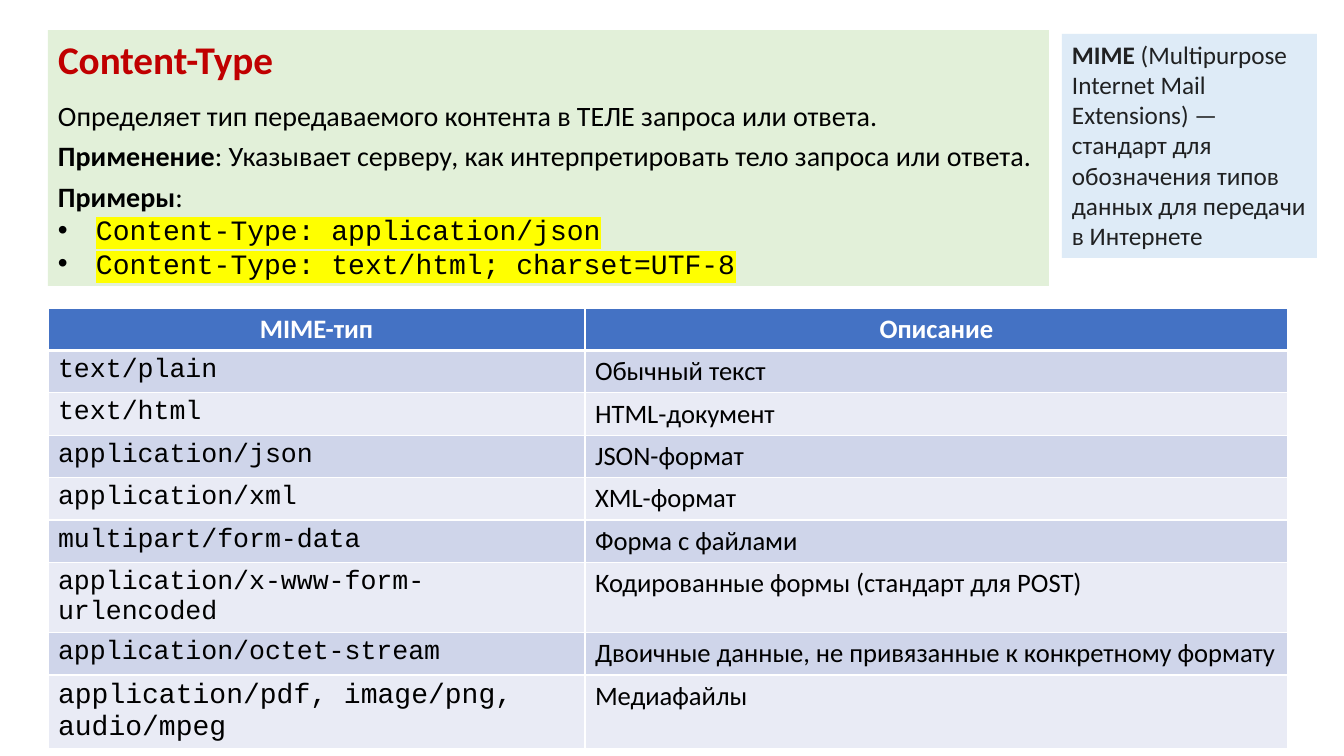
import lxml.etree
import pptx
import pptx.dml.color
import pptx.enum.shapes
import pptx.enum.text
import pptx.oxml.ns
import pptx.util

PX = 914400 / 100.8
SANS, MONO = "Calibri", "Courier New"
ALIGN = pptx.enum.text.PP_ALIGN
MIME_TYPES = [
    ("text/plain", "Обычный текст"),
    ("text/html", "HTML-документ"),
    ("application/json", "JSON-формат"),
    ("application/xml", "XML-формат"),
    ("multipart/form-data", "Форма с файлами"),
    ("application/x-www-form-urlencoded", "Кодированные формы (стандарт для POST)"),
    ("application/octet-stream", "Двоичные данные, не привязанные к конкретному формату"),
    ("application/pdf, image/png, audio/mpeg", "Медиафайлы"),
]


def px(length):
    return pptx.util.Emu(round(length * PX))


def color(hex_code):
    return pptx.dml.color.RGBColor.from_string(hex_code)


def sub(parent, tag, **attributes):
    return lxml.etree.SubElement(parent, pptx.oxml.ns.qn(tag), attributes)


def paint(target, hex_code):
    target.fill.solid()
    target.fill.fore_color.rgb = color(hex_code)


def write(paragraph, text, size=20, font=SANS, ink="000000", bold=False,
          align=ALIGN.LEFT, before=0, bullet=False, highlight=None):
    """Append one run to the paragraph and format both."""
    if bullet:
        properties = paragraph._p.get_or_add_pPr()
        properties.set("marL", str(px(38)))
        properties.set("indent", str(-px(38)))
        sub(properties, "a:buFont", typeface="Arial")
        sub(properties, "a:buChar", char="•")
    paragraph.alignment = align
    paragraph.line_spacing = 1.0
    paragraph.space_before = pptx.util.Pt(before)
    run = paragraph.add_run()
    run.text = text
    run.font.size = pptx.util.Pt(size)
    run.font.bold = bold
    run.font.color.rgb = color(ink)
    if highlight:
        marker = sub(run._r.get_or_add_rPr(), "a:highlight")
        sub(marker, "a:srgbClr", val=highlight)
    run.font.name = font


def frame_of(shape, inset_top=5):
    frame = shape.text_frame
    frame.word_wrap = True
    frame.auto_size = pptx.enum.text.MSO_AUTO_SIZE.NONE
    frame.vertical_anchor = pptx.enum.text.MSO_ANCHOR.TOP
    frame.margin_left = frame.margin_right = px(10)
    frame.margin_top, frame.margin_bottom = px(inset_top), px(5)
    return frame


def panel(slide, box, fill):
    shape = slide.shapes.add_shape(pptx.enum.shapes.MSO_SHAPE.RECTANGLE, *map(px, box))
    shape.shadow.inherit = False
    paint(shape, fill)
    shape.line.fill.background()
    return shape


def header_summary(slide, box):
    left, top, width, _ = box
    summary = frame_of(panel(slide, box, "E2F0D9"), inset_top=68)

    # Title sits on the upper part of the panel
    title = slide.shapes.title
    title.left, title.top, title.width, title.height = map(px, (left, top, width, 58))
    write(frame_of(title).paragraphs[0], "Content-Type", size=28, ink="C00000", bold=True)
    slide.shapes._spTree.append(title._element)

    # Definition, use and examples
    write(summary.paragraphs[0],
          "Определяет тип передаваемого контента в ТЕЛЕ запроса или ответа.")
    for label, rest in [
        ("Применение", ": Указывает серверу, как интерпретировать тело запроса или ответа."),
        ("Примеры", ":"),
    ]:
        paragraph = summary.add_paragraph()
        write(paragraph, label, bold=True, before=5)
        write(paragraph, rest, before=5)
    for example in ("application/json", "text/html; charset=UTF-8"):
        write(summary.add_paragraph(), f"Content-Type: {example}", font=MONO,
              bullet=True, highlight="FFFF00")


def mime_note(slide, box):
    paragraph = frame_of(panel(slide, box, "DEEBF7")).paragraphs[0]
    write(paragraph, "MIME ", size=18, ink="202122", bold=True)
    write(paragraph, "(Multipurpose Internet Mail Extensions) — стандарт для обозначения "
          "типов данных для передачи в Интернете", size=18, ink="202122")


def border(cell, bottom):
    properties = cell._tc.get_or_add_tcPr()
    for position, (side, width) in enumerate(zip("LRTB", (1, 1, 1, bottom))):
        line = sub(properties, f"a:ln{side}", w=str(pptx.util.Pt(width)))
        sub(sub(line, "a:solidFill"), "a:srgbClr", val="FFFFFF")
        properties.insert(position, line)


def mime_table(slide, box):
    rows = [("MIME-тип", "Описание")] + MIME_TYPES
    table = slide.shapes.add_table(len(rows), 2, *map(px, box)).table
    table.horz_banding = False
    for column, width in zip(table.columns, (537, box[2] - 537)):
        column.width = px(width)
    for r, row in enumerate(rows):
        table.rows[r].height = px(box[3] / len(rows))
        for c, text in enumerate(row):
            cell = table.cell(r, c)
            paragraph = cell.text_frame.paragraphs[0]
            if r == 0:
                paint(cell, "4472C4")
                write(paragraph, text, size=19, ink="FFFFFF", bold=True, align=ALIGN.CENTER)
            else:
                paint(cell, "CFD5EA" if r % 2 else "E9EBF5")
                last_type = r == len(MIME_TYPES) and c == 0
                write(paragraph, text, size=20 if last_type else 19,
                      font=SANS if c else MONO)
            border(cell, bottom=1 if r else 3)


def main():
    presentation = pptx.Presentation()
    presentation.slide_width, presentation.slide_height = px(1344), px(756)
    slide = presentation.slides.add_slide(presentation.slide_layouts.get_by_name("Title Only"))
    header_summary(slide, (48, 30, 1001, 256))
    mime_table(slide, (48, 308, 1240, 369))
    mime_note(slide, (1062, 34, 255, 224))
    presentation.save("out.pptx")


if __name__ == "__main__":
    main()
